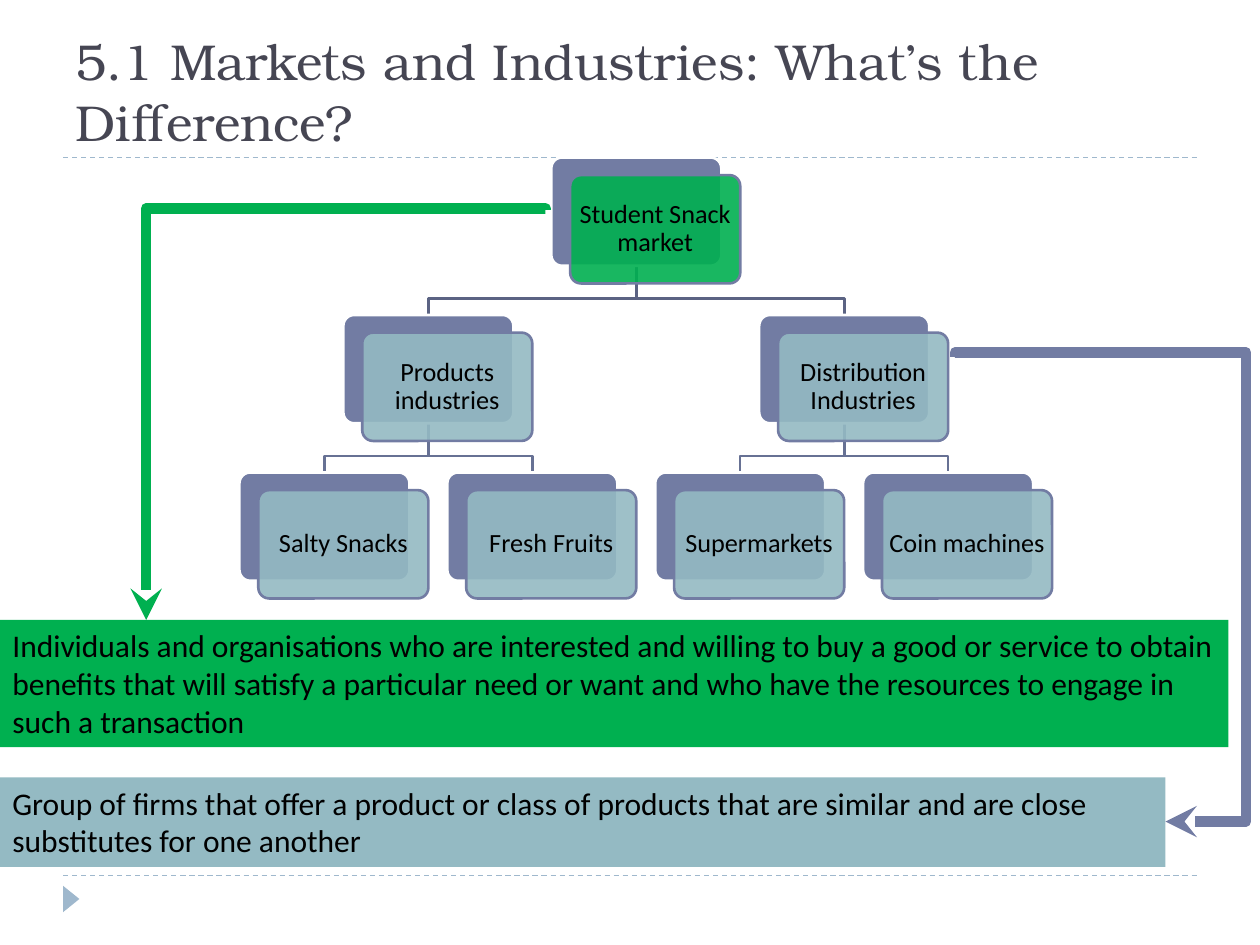
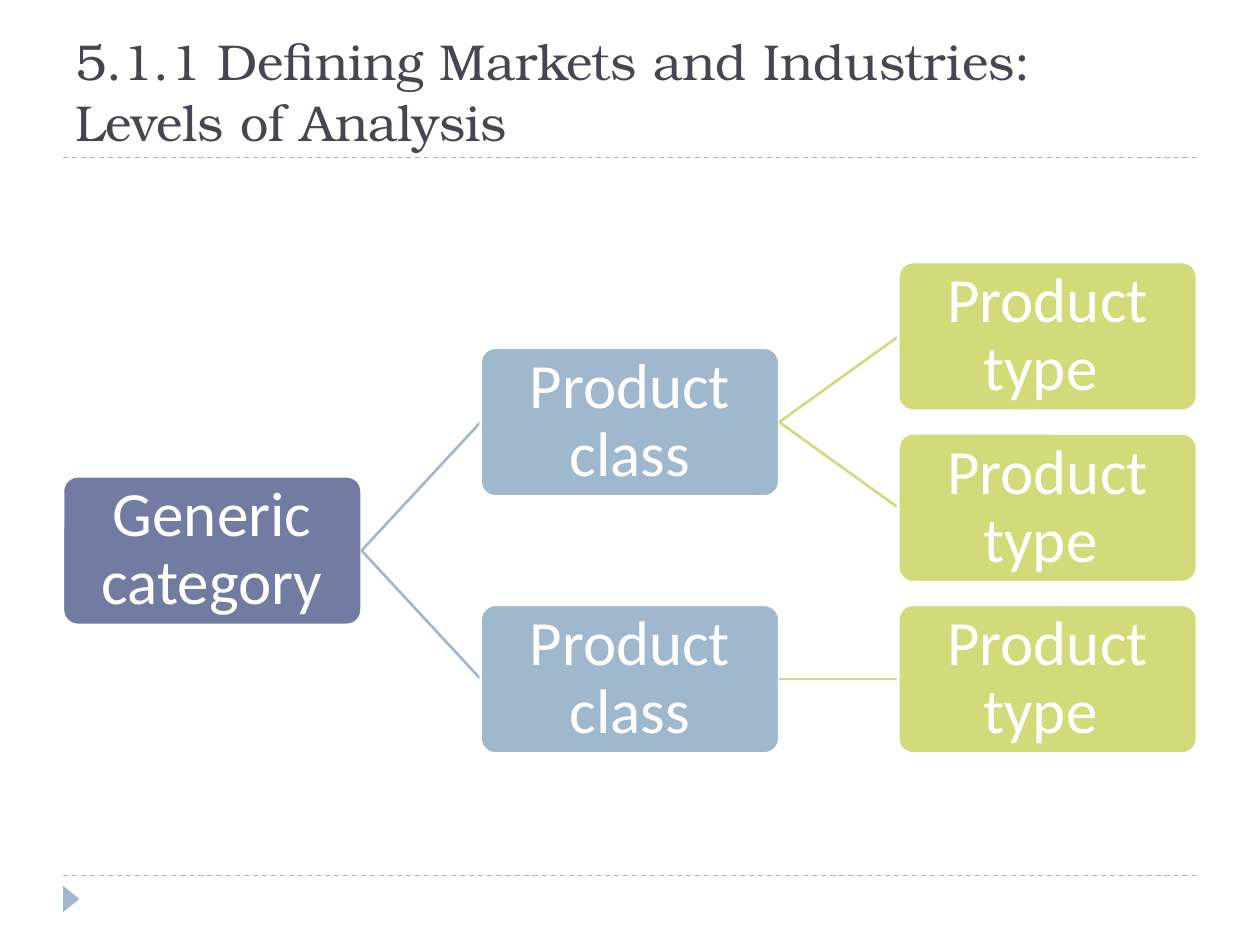
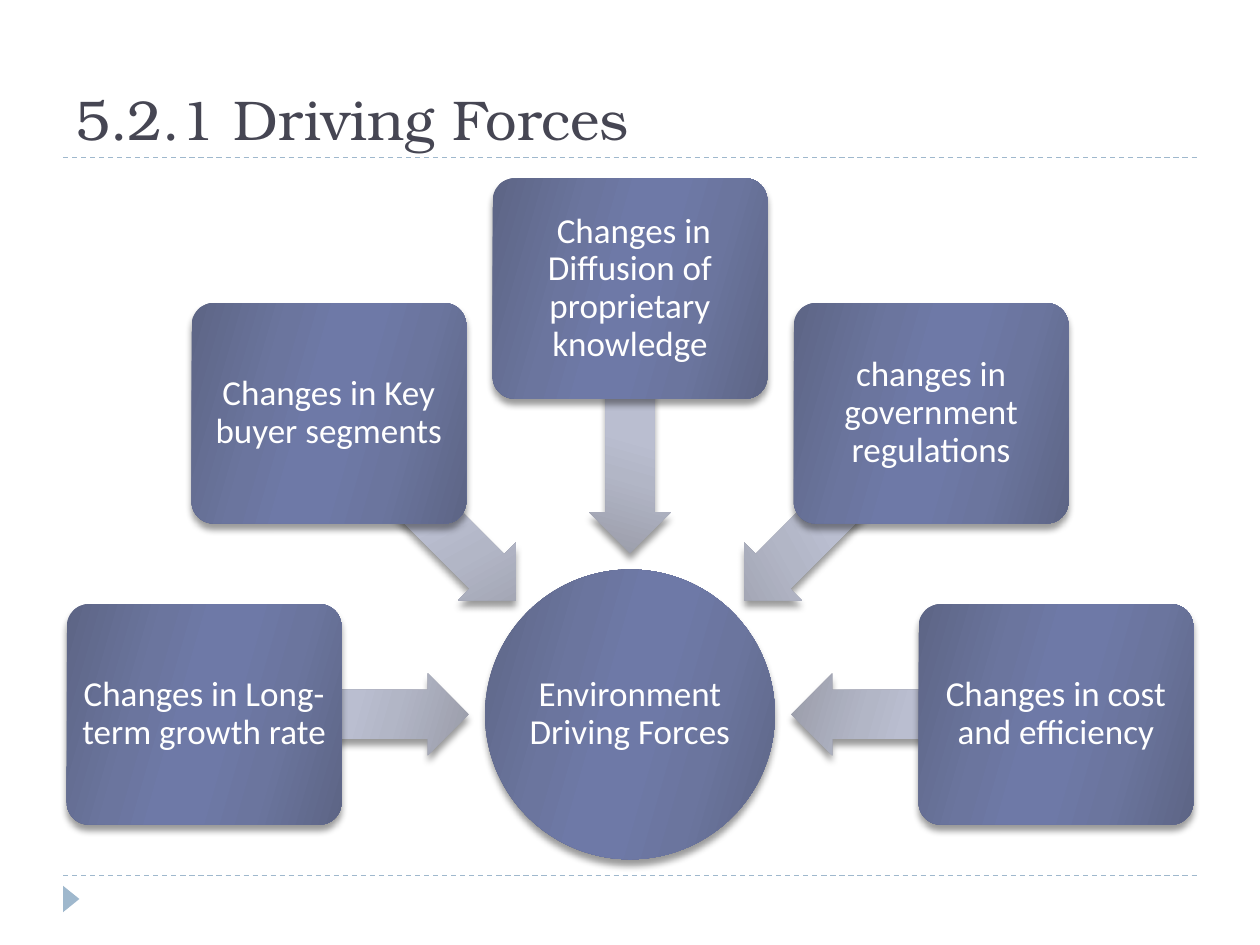
from math import cos, radians, sin

from lxml import etree
from pptx import Presentation
from pptx.dml.color import RGBColor
from pptx.enum.dml import MSO_LINE
from pptx.enum.shapes import MSO_CONNECTOR, MSO_SHAPE
from pptx.enum.text import MSO_ANCHOR, PP_ALIGN
from pptx.oxml.ns import qn
from pptx.util import Inches, Pt

RECTANGLE, ROUNDED, OVAL = MSO_SHAPE.RECTANGLE, MSO_SHAPE.ROUNDED_RECTANGLE, MSO_SHAPE.OVAL
LEFT_ARROW, TRIANGLE = MSO_SHAPE.LEFT_ARROW, MSO_SHAPE.ISOSCELES_TRIANGLE
STRAIGHT, ELBOW = MSO_CONNECTOR.STRAIGHT, MSO_CONNECTOR.ELBOW
LEFT, CENTER = PP_ALIGN.LEFT, PP_ALIGN.CENTER
TOP, MIDDLE, BOTTOM = MSO_ANCHOR.TOP, MSO_ANCHOR.MIDDLE, MSO_ANCHOR.BOTTOM
DASH = MSO_LINE.DASH

COLORS = {
    "title": "464653", "black": "000000", "white": "FFFFFF",
    "indigo": "727CA3", "blue": "9FB8CD", "lime": "D2DA7A",
    "green": "00B050", "teal": "94BAC3",
    "upper_branch": "5B6383", "lower_branch": "677194",
}
STOPS = (0, 30, 45, 55, 73, 100)
GRADIENTS = {
    "force": ("5D6585", "6B759E", "6E79A7", "6E79A7", "6B759E", "5D6585"),
    "arrow": ("9A9CA9", "B2B6C6", "BABED0", "BABED0", "B2B6C6", "9A9CA9"),
}
BODY_FONT, TITLE_FONT = "Calibri", "TeX Gyre Bonum"
WIDTH, HEIGHT = 10, 7.5
MARGIN = WIDTH * 0.05
CONTENT_WIDTH = WIDTH - 2 * MARGIN


def add_box(slide, kind, left, top, width, height, fill, line=None, text="", size=18,
            color="white", align=CENTER, anchor=MIDDLE, insets=(0, 0), spacing=0.9, font=BODY_FONT):
    shape = slide.shapes.add_shape(kind, Inches(left), Inches(top), Inches(width), Inches(height))
    shape.shadow.inherit = False
    if kind == ROUNDED:
        shape.adjustments[0] = 0.1
    if fill in GRADIENTS:
        shape.fill.gradient()
        gradient = shape.element.spPr.find(qn("a:gradFill"))
        stop_list = gradient.find(qn("a:gsLst"))
        for stop in list(stop_list):
            stop_list.remove(stop)
        for position, shade in zip(STOPS, GRADIENTS[fill]):
            stop = etree.SubElement(stop_list, qn("a:gs"), pos=str(position * 1000))
            etree.SubElement(stop, qn("a:srgbClr"), val=shade)
        gradient.find(qn("a:lin")).set("ang", str(16 * 60000))
        effects = shape.element.spPr.find(qn("a:effectLst"))
        shadow = etree.SubElement(effects, qn("a:outerShdw"), blurRad=str(Pt(4)), dist=str(Pt(3.4)),
                                  dir=str(90 * 60000), rotWithShape="0")
        shade = etree.SubElement(shadow, qn("a:srgbClr"), val=COLORS["black"])
        etree.SubElement(shade, qn("a:alpha"), val="40000")
    elif fill:
        shape.fill.solid()
        shape.fill.fore_color.rgb = RGBColor.from_string(COLORS[fill])
    else:
        shape.fill.background()
    if line:
        shape.line.color.rgb = RGBColor.from_string(COLORS[line])
        shape.line.width = Pt(1.5)
    else:
        shape.line.fill.background()
    if text:
        frame = shape.text_frame
        frame.text = text
        frame.word_wrap = True
        frame.vertical_anchor = anchor
        frame.margin_left = frame.margin_right = Inches(insets[0])
        frame.margin_top = frame.margin_bottom = Inches(insets[1])
        paragraph = frame.paragraphs[0]
        paragraph.alignment = align
        paragraph.line_spacing = spacing
        paragraph.font.size = Pt(size)
        paragraph.font.name = font
        paragraph.font.color.rgb = RGBColor.from_string(COLORS[color])
    return shape


def style_line(shape, color, width):
    shape.line.color.rgb = RGBColor.from_string(COLORS[color])
    shape.line.width = Pt(width)
    etree.SubElement(shape.element.spPr, qn("a:effectLst"))


presentation = Presentation()
presentation.slide_width, presentation.slide_height = Inches(WIDTH), Inches(HEIGHT)

TITLES = (
    ("5.1 Markets and Industries: What’s the Difference?", 28.8),
    ("5.1.1 Defining Markets and Industries: Levels of Analysis", 28.8),
    ("5.2.1 Driving Forces", 32),
)
slides = []
for title, size in TITLES:
    slide = presentation.slides.add_slide(presentation.slide_layouts[6])
    for y in (6.95, 1.25):
        rule = slide.shapes.add_connector(
            STRAIGHT, Inches(MARGIN), Inches(y), Inches(WIDTH - MARGIN), Inches(y))
        style_line(rule, "blue", 0.75)
        rule.line.dash_style = DASH
    marker = add_box(slide, TRIANGLE, 0.46, 7.07, 0.21, 0.13, "blue")
    marker.rotation = 90
    add_box(slide, RECTANGLE, MARGIN, 0.17, CONTENT_WIDTH, 1.08, None, text=title, size=size,
            color="title", align=LEFT, anchor=BOTTOM, insets=(0.1, 0.05), spacing=1, font=TITLE_FONT)
    slides.append(slide)
market_slide, levels_slide, forces_slide = slides

TREE_LEFT, TREE_TOP = 1.9, 1.25
TREE_COLUMN, TREE_ROW = 3.3 / 4, 1.25
NODE_WIDTH, NODE_HEIGHT = 1.35, 0.86
BRANCHES = (
    (5, 1, 6, "lower_branch"), (5, 1, 4, "lower_branch"), (3, 0, 5, "upper_branch"),
    (1, 1, 2, "lower_branch"), (1, 1, 0, "lower_branch"), (3, 0, 1, "upper_branch"),
)
for parent_column, row, child_column, color in BRANCHES:
    parent_x, child_x = [Inches(TREE_LEFT + column * TREE_COLUMN + NODE_WIDTH / 2)
                         for column in (parent_column, child_column)]
    row_top = TREE_TOP + row * TREE_ROW
    bend_y, child_y = Inches(row_top + 1.12), Inches(row_top + TREE_ROW)
    builder = market_slide.shapes.build_freeform(parent_x, Inches(row_top + NODE_HEIGHT))
    builder.add_line_segments(
        [(parent_x, bend_y), (child_x, bend_y), (child_x, child_y)], close=False)
    branch = builder.convert_to_shape()
    branch.fill.background()
    style_line(branch, color, 1.5)

TREE_NODES = (
    (3, 0, "Student Snack market", "green"),
    (1, 1, "Products industries", "teal"),
    (0, 2, "Salty Snacks", "teal"),
    (2, 2, "Fresh Fruits", "teal"),
    (5, 1, "Distribution Industries", "teal"),
    (4, 2, "Supermarkets", "teal"),
    (6, 2, "Coin machines", "teal"),
)
for column, row, text, color in TREE_NODES:
    left, top = TREE_LEFT + column * TREE_COLUMN, TREE_TOP + row * TREE_ROW
    add_box(market_slide, ROUNDED, left, top, NODE_WIDTH, NODE_HEIGHT, "indigo", "white")
    front = add_box(market_slide, ROUNDED, left + 0.15, top + 0.14, NODE_WIDTH, NODE_HEIGHT, color,
                    "indigo", text, 15, "black", insets=(0.03, 0.03))
    fill_color = front.element.spPr.find(qn("a:solidFill")).find(qn("a:srgbClr"))
    etree.SubElement(fill_color, qn("a:alpha"), val="90000")

DEFINITIONS = (
    (4.92, 9.75, 1.01, "green",
     "Individuals and organisations who are interested and willing to buy a good or service to obtain "
     "benefits that will satisfy a particular need or want and who have the resources to engage in "
     "such a transaction"),
    (6.17, 9.25, 0.71, "teal",
     "Group of firms that offer a product or class of products that are similar and are close "
     "substitutes for one another"),
)
for top, width, height, color, text in DEFINITIONS:
    add_box(market_slide, RECTANGLE, 0, top, width, height, color, text=text, color="black",
            align=LEFT, anchor=TOP, insets=(0.1, 0.05), spacing=1)

DEFINITION_ARROWS = (
    ((1.12, 1.71, 4.37, 4.88), 90, "bentConnector3", (-500,), "green"),
    ((10.26, 3.84, 6.57, 5.51), 270, "bentConnector4", (-900, 138300), "indigo"),
)
for ends, rotation, geometry, adjustments, color in DEFINITION_ARROWS:
    arrow = market_slide.shapes.add_connector(ELBOW, *[Inches(end) for end in ends])
    style_line(arrow, color, 6)
    properties = arrow.element.spPr
    properties.find(qn("a:xfrm")).set("rot", str(rotation * 60000))
    preset = properties.find(qn("a:prstGeom"))
    preset.set("prst", geometry)
    guides = preset.find(qn("a:avLst"))
    for number, value in enumerate(adjustments, 1):
        etree.SubElement(guides, qn("a:gd"), name=f"adj{number}", fmla=f"val {value}")
    etree.SubElement(properties.find(qn("a:ln")), qn("a:tailEnd"), type="stealth")

LEVEL_WIDTH, LEVEL_HEIGHT = 2.37, 1.18
LEVEL_COLUMN = (CONTENT_WIDTH - LEVEL_WIDTH) / 2
LEVEL_TOP, LEVEL_ROW = 2.08, 1.36
LEVEL_COLORS = ("indigo", "blue", "lime")
LEVELS = (
    (0, 1.25, "Generic category", None),
    (1, 0.5, "Product class", 0),
    (2, 0, "Product type ", 1),
    (2, 1, "Product type ", 1),
    (1, 2, "Product class", 0),
    (2, 2, "Product type ", 4),
)
level_boxes = []
for column, row, text, parent in LEVELS:
    color = LEVEL_COLORS[column]
    if parent is not None:
        link = levels_slide.shapes.add_connector(STRAIGHT, 0, 0, 0, 0)
        style_line(link, color, 1.5)
        link.begin_connect(level_boxes[parent], 3)
    box = add_box(levels_slide, ROUNDED, MARGIN + column * LEVEL_COLUMN, LEVEL_TOP + row * LEVEL_ROW,
                  LEVEL_WIDTH, LEVEL_HEIGHT, color, "white", text, 36)
    if parent is not None:
        link.end_connect(box, 1)
    level_boxes.append(box)

CENTER_X, CENTER_Y, HUB_SIZE = WIDTH / 2, 5.67, 2.3
FORCE_WIDTH, FORCE_HEIGHT, FORCE_RADIUS = 2.18, 1.75, 3.38
ARROW_WIDTH, ARROW_HEIGHT, ARROW_RADIUS = 2.1, 0.65, 2.33
FORCES = (
    "Changes in Long-term growth rate",
    "Changes in Key buyer segments",
    " Changes in Diffusion of proprietary knowledge",
    "changes in government regulations",
    "Changes in cost and efficiency",
)
add_box(forces_slide, OVAL, CENTER_X - HUB_SIZE / 2, CENTER_Y - HUB_SIZE / 2, HUB_SIZE, HUB_SIZE,
        "force", text="Environment Driving Forces", size=20)
for index, text in enumerate(FORCES):
    angle = 180 + 45 * index
    across, down = cos(radians(angle)), sin(radians(angle))
    arrow = add_box(forces_slide, LEFT_ARROW, CENTER_X + ARROW_RADIUS * across - ARROW_WIDTH / 2,
                    CENTER_Y + ARROW_RADIUS * down - ARROW_HEIGHT / 2,
                    ARROW_WIDTH, ARROW_HEIGHT, "arrow")
    arrow.adjustments[0] = 0.6
    arrow.adjustments[1] = 0.5
    arrow.rotation = angle % 360
    add_box(forces_slide, ROUNDED, CENTER_X + FORCE_RADIUS * across - FORCE_WIDTH / 2,
            CENTER_Y + FORCE_RADIUS * down - FORCE_HEIGHT / 2,
            FORCE_WIDTH, FORCE_HEIGHT, "force", text=text, size=20)

presentation.save("out.pptx")
